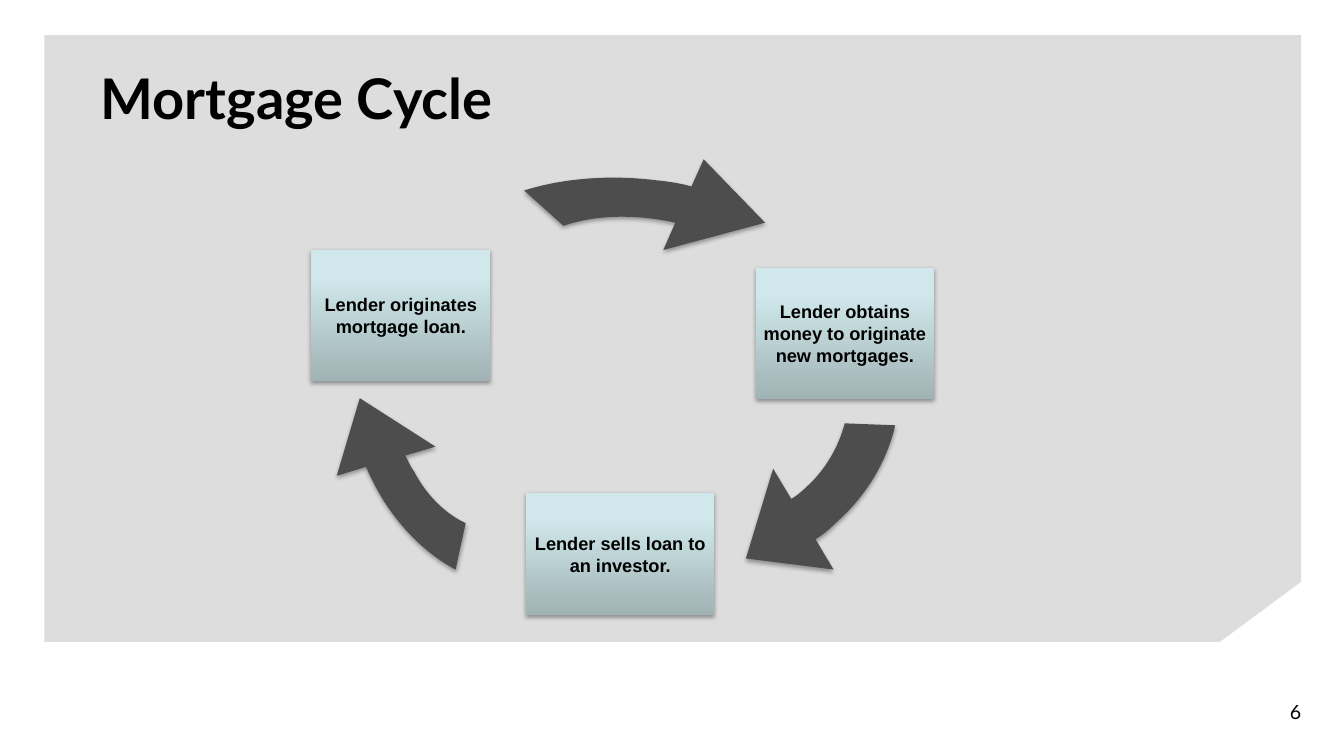
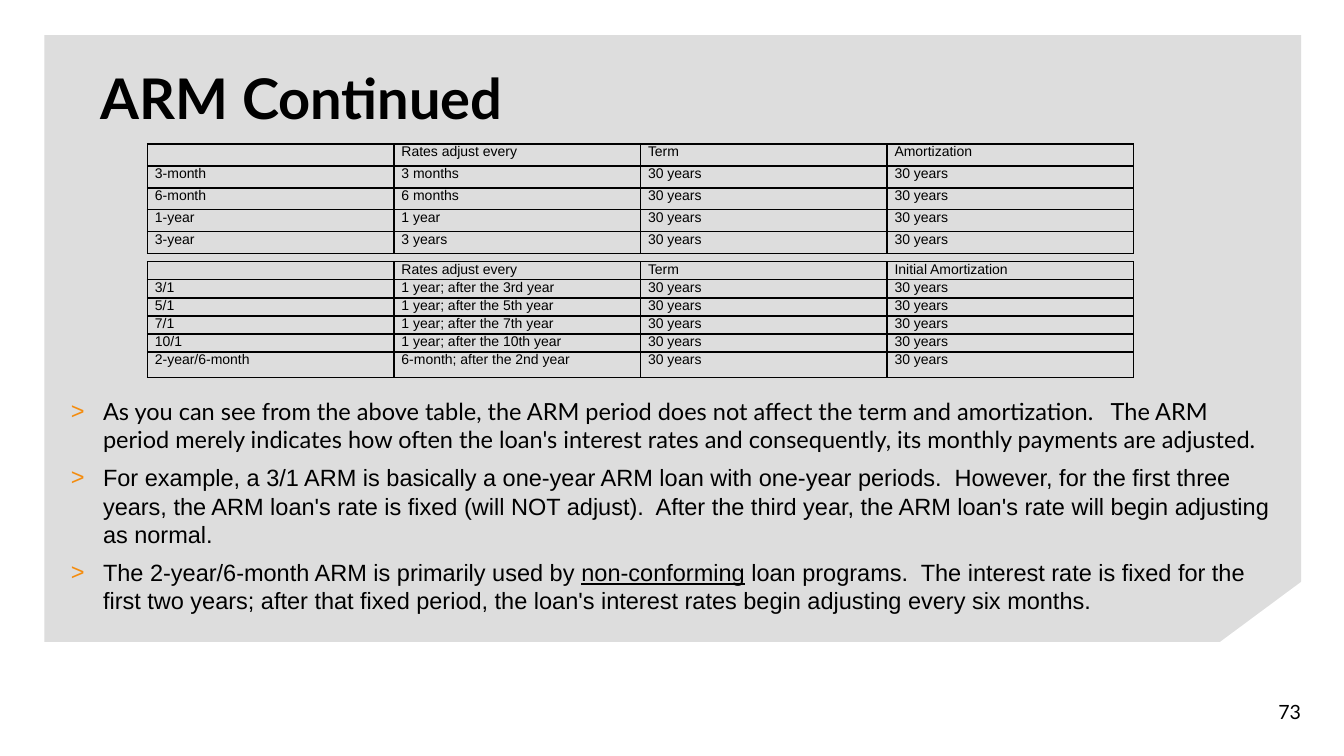
from math import cos, radians, sin

from lxml.etree import SubElement
from pptx import Presentation
from pptx.dml.color import RGBColor
from pptx.enum.shapes import MSO_SHAPE
from pptx.enum.text import MSO_ANCHOR, MSO_AUTO_SIZE, PP_ALIGN
from pptx.oxml.ns import qn
from pptx.util import Pt

BLACK, WHITE, PANEL = "000000", "FFFFFF", "DDDDDD"
ARROW, BOX_DARK, BOX_LIGHT, BULLET = "4D4D4D", "A0B3B5", "D0E8EB", "F48C0E"
HEADING_FONT, TEXT_FONT = "Lato", "Arial"
TITLE_ONLY, TITLE_AND_BODY = 5, 1

# text, (left, top, width, height)
CYCLE_STEPS = [
    ("Lender obtains\nmoney to originate\nnew mortgages.", (540, 191.3, 127, 93.6)),
    ("Lender sells loan to\nan investor.", (375.8, 352, 134.4, 87.1)),
    ("Lender originates\nmortgage loan.", (222.3, 178.4, 128, 93.6)),
]

# Each edge is a chain of cubic curves: one start point, then three points a curve.
# The outlines are page positions; each arrow sits in a larger, turned frame.
CYCLE_ARROWS = [
    {"frame": (314.6, 128.2, 289.4, 165.6), "turn": 7.2,
     "inner": [(482.4, 159.1), (476.6, 157.7), (471.6, 157), (465.8, 156.2),
               (443.5, 153.4), (421.2, 154.8), (402.5, 161.3)],
     "outer": [(374.4, 136.1), (401.8, 127.4), (435.6, 124.6), (469.4, 128.9),
               (477.4, 129.6), (486, 131), (493.9, 133.2)],
     "head": [(502.6, 113.8), (546.5, 159.1), (473.8, 178.6)]},
    {"frame": (411.8, 199.4, 237.6, 199.4), "turn": 137.4,
     "inner": [(565.2, 356.4), (568.8, 354.2), (572.4, 351.4), (576, 347.8),
               (589.7, 335.5), (599, 319), (603.4, 302.4)],
     "outer": [(639.4, 303.8), (633.6, 329), (619.2, 353.5), (598.3, 372.2),
               (593.3, 377.3), (588.2, 381.6), (582.5, 385.2)],
     "head": [(595.4, 406.8), (532.8, 398.9), (552.2, 334.8)]},
    {"frame": (229, 221, 234, 174.2), "turn": 240,
     "inner": [(289.4, 325.4), (291.6, 329), (293, 333.4), (295.9, 337),
               (304.6, 353.5), (317.5, 366.5), (332.6, 373.7)],
     "outer": [(325.4, 406.8), (303.8, 395.3), (284.4, 375.8), (270.7, 352.1),
               (267.1, 345.6), (264.2, 339.8), (261.4, 333.4)],
     "head": [(240.5, 339.8), (257, 284.4), (311, 319)]},
]

TERM = "30 years"
ARM_ROWS = [("", "Rates adjust every", "Term", "Amortization")] + [
    (period, every, TERM, TERM) for period, every in [
        ("3-month", "3 months"), ("6-month", "6 months"),
        ("1-year", "1 year"), ("3-year", "3 years")]]
HYBRID_ROWS = [("", "Rates adjust every", "Term", "Initial Amortization")] + [
    (period, every, TERM, TERM) for period, every in [
        ("3/1", "1 year; after the 3rd year"),
        ("5/1", "1 year; after the 5th year"),
        ("7/1", "1 year; after the 7th year"),
        ("10/1", "1 year; after the 10th year"),
        ("2-year/6-month", "6-month; after the 2nd year")]]
# rows, top, row heights
RATE_TABLES = [
    (ARM_ROWS, 102.9, [15.7] * 5),
    (HYBRID_ROWS, 187, [12.9] * 5 + [18]),
]
TABLE_LEFT, COLUMN_WIDTH = 105.3, 176.1

# font, runs as (text, underlined)
ARM_NOTES = [
    (HEADING_FONT, [
        ("As you can see from the above table, the ARM period does not affect the term "
         "and amortization.   The ARM period merely indicates how often the loan's "
         "interest rates and consequently, its monthly payments are adjusted.", False)]),
    (TEXT_FONT, [
        ("For example, a 3/1 ARM is basically a one-year ARM loan with one-year periods.  "
         "However, for the first three years, the ARM loan's rate is fixed (will NOT "
         "adjust).  After the third year, the ARM loan's rate will begin adjusting as "
         "normal.", False)]),
    (TEXT_FONT, [
        ("The 2-year/6-month ARM is primarily used by ", False),
        ("non-conforming", True),
        (" loan programs.  The interest rate is fixed for the first two years; after that "
         "fixed period, the loan's interest rates begin adjusting every six months.",
         False)]),
]


def rgb(value):
    return RGBColor.from_string(value)


def points(values):
    return [Pt(value) for value in values]


def set_place(shape, place):
    shape.left, shape.top, shape.width, shape.height = points(place)


def set_font(paragraph, name, size, bold=False):
    font = paragraph.font
    font.name, font.size, font.bold = name, Pt(size), bold
    font.color.rgb = rgb(BLACK)


def set_frame(frame, anchor, inset_y=0, wrap=True):
    frame.auto_size = MSO_AUTO_SIZE.NONE
    frame.word_wrap = wrap
    frame.vertical_anchor = anchor
    frame.margin_left = frame.margin_right = 0
    frame.margin_top = frame.margin_bottom = Pt(inset_y)


def paint(shape, color):
    shape.fill.solid()
    shape.fill.fore_color.rgb = rgb(color)
    shape.line.fill.background()
    shape.shadow.inherit = False


def cast_shadow(shape):
    shape.shadow.inherit = False
    effects = shape.element.spPr.find(qn("a:effectLst"))
    shadow = SubElement(effects, qn("a:outerShdw"), blurRad="40000", dist="23000",
                        dir="5400000", rotWithShape="0")
    color = SubElement(shadow, qn("a:srgbClr"), val=BLACK)
    SubElement(color, qn("a:alpha"), val="35000")


def add_master_panel(slide):
    """Draw the grey panel with its cut corner, then move it to the slide master."""
    panel = slide.shapes.add_shape(MSO_SHAPE.RECTANGLE, *points((31.7, 25, 897.7, 433.5)))
    paint(panel, PANEL)
    corner = slide.shapes.add_shape(MSO_SHAPE.RIGHT_TRIANGLE,
                                    *points((871.6, 415.3, 58.3, 43.2)))
    paint(corner, WHITE)
    corner.element.spPr.find(qn("a:xfrm")).set("flipH", "1")
    master_tree = slide.slide_layout.slide_master.shapes.element
    for index, part in enumerate((panel, corner)):
        part.element.nvSpPr.cNvPr.set("id", str(101 + index))
        master_tree.insert(2 + index, part.element)


def add_slide(prs, layout, heading, number):
    slide = prs.slides.add_slide(prs.slide_layouts[layout])
    title = slide.shapes.title
    set_place(title, (72, 24.5, 816, 90))
    title.text = heading
    set_frame(title.text_frame, MSO_ANCHOR.MIDDLE, 3.6)
    line = title.text_frame.paragraphs[0]
    line.alignment = PP_ALIGN.LEFT
    set_font(line, HEADING_FONT, 40, bold=True)

    page = slide.shapes.add_textbox(*points((729.4, 493.6, 200, 29.5))).text_frame
    page.text = str(number)
    set_frame(page, MSO_ANCHOR.MIDDLE)
    page.paragraphs[0].alignment = PP_ALIGN.RIGHT
    set_font(page.paragraphs[0], HEADING_FONT, 14)
    return slide


def turn_back(position, frame, degrees):
    """Page position to a position inside the frame before it is turned."""
    left, top, width, height = frame
    dx, dy = position[0] - left - width / 2, position[1] - top - height / 2
    c, s = cos(radians(degrees)), sin(radians(degrees))
    return width / 2 + dx * c + dy * s, height / 2 - dx * s + dy * c


def add_cycle_arrow(slide, arrow):
    frame, turn = arrow["frame"], arrow["turn"]
    inner, outer, head = ([points(turn_back(p, frame, turn)) for p in arrow[part]]
                          for part in ("inner", "outer", "head"))
    builder = slide.shapes.build_freeform(*inner[0])
    builder.add_line_segments(head, close=True)
    shape = builder.convert_to_shape()
    set_place(shape, frame)
    shape.rotation = turn

    outline = next(shape.element.iter(qn("a:path")))
    for segment in list(outline):
        outline.remove(segment)
    outline.set("w", str(shape.width))
    outline.set("h", str(shape.height))
    segments = [("a:moveTo", inner[:1]), ("a:cubicBezTo", inner[1:4]),
                ("a:cubicBezTo", inner[4:]), ("a:lnTo", outer[:1]),
                ("a:cubicBezTo", outer[1:4]), ("a:cubicBezTo", outer[4:])]
    segments += [("a:lnTo", [tip]) for tip in head] + [("a:close", [])]
    for tag, vertices in segments:
        segment = SubElement(outline, qn(tag))
        for x, y in vertices:
            SubElement(segment, qn("a:pt"), x=str(x), y=str(y))
    paint(shape, ARROW)
    cast_shadow(shape)


def add_cycle_step(slide, text, place):
    box = slide.shapes.add_shape(MSO_SHAPE.RECTANGLE, *points(place))
    box.fill.gradient()
    box.fill.gradient_angle = 90
    for stop, position, color in zip(box.fill.gradient_stops, (0, 0.8),
                                     (BOX_DARK, BOX_LIGHT)):
        stop.position = position
        stop.color.rgb = rgb(color)
    box.line.fill.background()
    cast_shadow(box)
    box.text_frame.text = text
    set_frame(box.text_frame, MSO_ANCHOR.MIDDLE, wrap=False)
    for paragraph in box.text_frame.paragraphs:
        paragraph.alignment = PP_ALIGN.CENTER
        set_font(paragraph, TEXT_FONT, 13, bold=True)


def add_borders(cell):
    properties = cell._tc.get_or_add_tcPr()
    for index, side in enumerate(("a:lnL", "a:lnR", "a:lnT", "a:lnB")):
        border = SubElement(properties, qn(side), w=str(Pt(1)))
        SubElement(SubElement(border, qn("a:solidFill")), qn("a:srgbClr"), val=BLACK)
        properties.insert(index, border)


def add_rate_table(slide, rows, top, heights):
    columns = len(rows[0])
    place = points((TABLE_LEFT, top, COLUMN_WIDTH * columns, sum(heights)))
    table = slide.shapes.add_table(len(rows), columns, *place).table
    table.first_row = table.horz_banding = False
    for column in table.columns:
        column.width = Pt(COLUMN_WIDTH)
    for row, height, values in zip(table.rows, heights, rows):
        row.height = Pt(height)
        for cell, value in zip(row.cells, values):
            cell.text = value
            cell.margin_left = cell.margin_right = Pt(5.4)
            cell.margin_top = cell.margin_bottom = 0
            cell.fill.background()
            add_borders(cell)
            paragraph = cell.text_frame.paragraphs[0]
            set_font(paragraph, TEXT_FONT, 10)
            if not value:
                SubElement(paragraph._p, qn("a:endParaRPr"), sz="1000")


def add_notes_list(slide, notes):
    body = slide.placeholders[1]
    set_place(body, (50.6, 280, 856.8, 167))
    frame = body.text_frame
    set_frame(frame, MSO_ANCHOR.TOP, 3.6)
    for index, (font_name, runs) in enumerate(notes):
        paragraph = frame.add_paragraph() if index else frame.paragraphs[0]
        paragraph.space_before = Pt(7 if index else 0)
        properties = paragraph._p.get_or_add_pPr()
        properties.set("marL", str(Pt(23)))
        properties.set("indent", str(-Pt(23)))
        SubElement(SubElement(properties, qn("a:buClr")), qn("a:srgbClr"), val=BULLET)
        SubElement(properties, qn("a:buChar"), char=">")
        set_font(paragraph, font_name, 16.8)
        for text, underlined in runs:
            run = paragraph.add_run()
            run.text = text
            if underlined:
                run.font.underline = True


def main():
    prs = Presentation()
    prs.slide_width, prs.slide_height = Pt(960), Pt(540)

    cycle = add_slide(prs, TITLE_ONLY, "Mortgage Cycle", 6)
    add_master_panel(cycle)
    for arrow in CYCLE_ARROWS:
        add_cycle_arrow(cycle, arrow)
    for text, place in CYCLE_STEPS:
        add_cycle_step(cycle, text, place)

    arm = add_slide(prs, TITLE_AND_BODY, "ARM Continued", 73)
    add_notes_list(arm, ARM_NOTES)
    for rows, top, heights in RATE_TABLES:
        add_rate_table(arm, rows, top, heights)

    prs.save("out.pptx")


if __name__ == "__main__":
    main()
